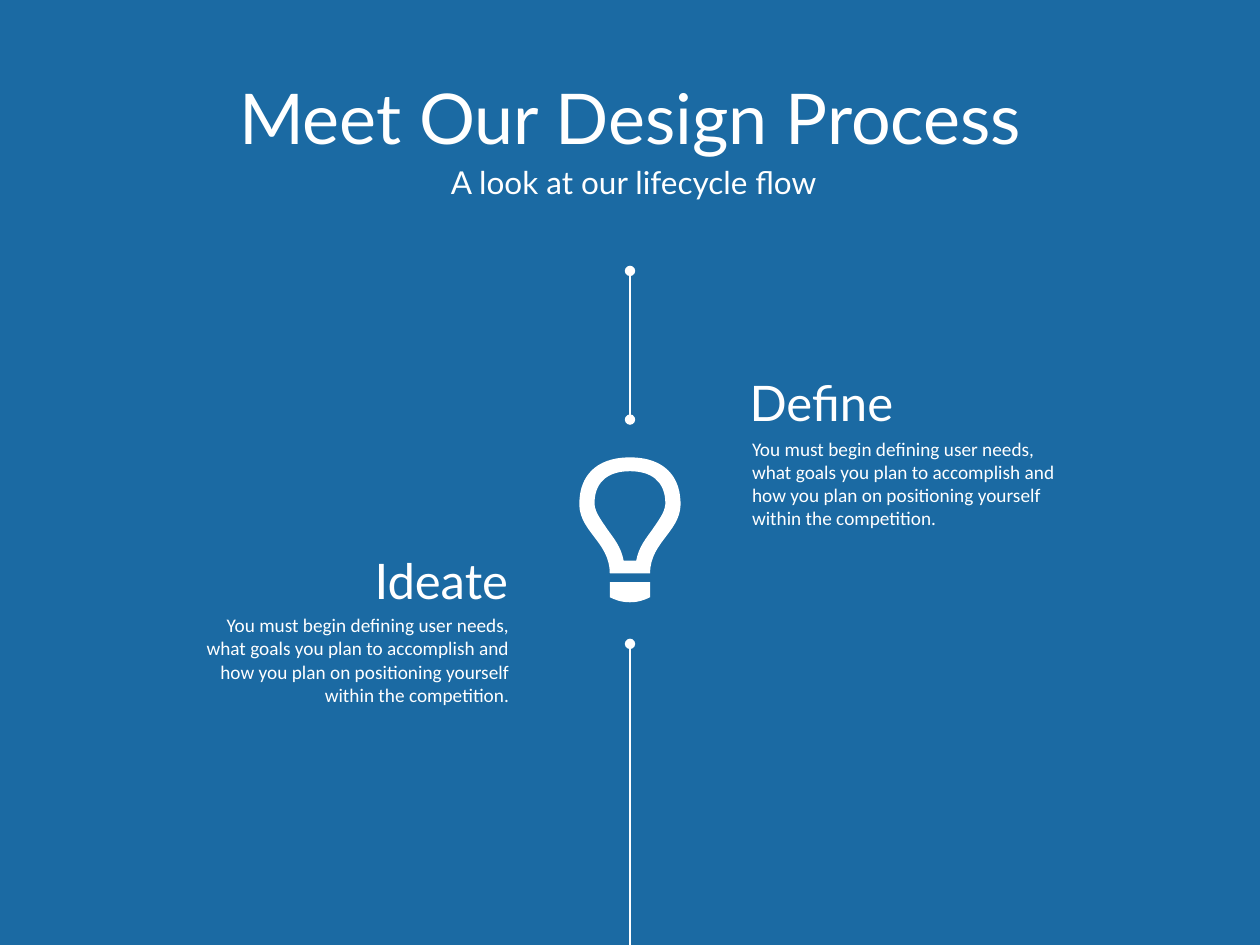
from dataclasses import dataclass

from lxml import etree
from pptx import Presentation
from pptx.dml.color import RGBColor
from pptx.enum import shapes, text
from pptx.oxml import ns
from pptx.util import Inches, Pt


@dataclass(frozen=True)
class Theme:
    background: RGBColor = RGBColor(0x1B, 0x6A, 0xA3)
    ink: RGBColor = RGBColor(0xFF, 0xFF, 0xFF)
    heading_font: str = "Lato"
    body_font: str = "Calibri"
    title: float = 40
    subtitle: float = 18
    heading: float = 28
    body: float = 11
    line: float = 0.75


LEFT, CENTER, RIGHT = (
    text.PP_ALIGN.LEFT, text.PP_ALIGN.CENTER, text.PP_ALIGN.RIGHT)
AXIS = 5
STEP_TEXT = ("You must begin defining user needs, what goals you plan to "
             "accomplish and how you plan on positioning yourself within "
             "the competition.")

# Right half of each bulb contour, from its lower or outer corner to the axis:
# segment kinds (L is a line, C a curve of three points), then the points
# as offset from the axis and y.
BULB = [
    ("LC", [(0.16, 4.62), (0.16, 4.74),
            (0.12, 4.76), (0.07, 4.78), (0, 4.78)]),
    ("CC", [(0.16, 4.55), (0.16, 4.29), (0.43, 4.21), (0.4, 3.96),
            (0.39, 3.8), (0.29, 3.63), (0, 3.63)]),
    ("CCC", [(0.05, 4.45), (0.07, 4.34), (0.13, 4.27), (0.18, 4.2),
             (0.24, 4.11), (0.29, 4.05), (0.28, 3.97),
             (0.27, 3.82), (0.17, 3.74), (0, 3.74)]),
]


class Slide:
    def __init__(self, deck, theme):
        self.theme = theme
        self.page = deck.slides.add_slide(deck.slide_layouts[6])
        fill = self.page.background.fill
        fill.solid()
        fill.fore_color.rgb = theme.background

    def text(self, words, left, top, width, height, size, align,
             font=None, anchor=text.MSO_ANCHOR.MIDDLE):
        box = self.page.shapes.add_textbox(
            Inches(left), Inches(top), Inches(width), Inches(height))
        frame = box.text_frame
        frame.word_wrap = True
        frame.vertical_anchor = anchor
        para = frame.paragraphs[0]
        para.text = words
        para.alignment = align
        para.font.name = font or self.theme.heading_font
        para.font.size = Pt(size)
        para.font.color.rgb = self.theme.ink

    def heading(self, words, left, top, align):
        self.text(words, left, top, 3.15, 0.64, self.theme.heading, align)

    def body(self, words, left, top, align):
        self.text(words, left, top, 2.68, 0.82, self.theme.body, align,
                  self.theme.body_font, text.MSO_ANCHOR.TOP)

    def timeline(self, top, bottom, *dotted_ends):
        """Draw a vertical line with dots at the named ends."""
        line = self.page.shapes.add_connector(
            shapes.MSO_CONNECTOR.STRAIGHT, Inches(AXIS), Inches(top),
            Inches(AXIS), Inches(bottom))
        line.line.color.rgb = self.theme.ink
        line.line.width = Pt(self.theme.line)
        outline = line.line._get_or_add_ln()
        for end in dotted_ends:
            etree.SubElement(outline, ns.qn(f"a:{end}"), type="oval")
        etree.SubElement(line._element.spPr, ns.qn("a:effectLst"))

    def symmetric(self, contours):
        """Mirror half contours about the axis and fill them as one shape."""
        builder = None
        kinds = ""
        for half_kinds, half in contours:
            mirrored = [(-x, y) for x, y in reversed(half[:-1])]
            first, *rest = [(Inches(AXIS + x), Inches(y))
                            for x, y in half + mirrored]
            if builder is None:
                builder = self.page.shapes.build_freeform(*first)
            else:
                builder.move_to(*first)
            builder.add_line_segments(rest, close=True)
            kinds += half_kinds + half_kinds[::-1]
        shape = builder.convert_to_shape()
        self.bend(shape, kinds)
        shape.shadow.inherit = False
        shape.fill.solid()
        shape.fill.fore_color.rgb = self.theme.ink
        shape.line.fill.background()

    @staticmethod
    def bend(shape, kinds):
        """Merge three straight segments into one curve for every C."""
        segments = iter(list(shape._element.iter(ns.qn("a:lnTo"))))
        for kind in kinds:
            segment = next(segments)
            if kind == "C":
                curve = etree.Element(ns.qn("a:cubicBezTo"))
                segment.addprevious(curve)
                for part in (segment, next(segments), next(segments)):
                    curve.append(part[0])
                    part.getparent().remove(part)


def main():
    deck = Presentation()
    deck.slide_width, deck.slide_height = Inches(10), Inches(7.5)
    theme = Theme()
    slide = Slide(deck, theme)
    slide.text("Meet Our Design Process", 0.5, 0.3, 9, 1.25,
               theme.title, CENTER)
    slide.text("A look at our lifecycle flow", 0.53, 1.18, 9, 0.53,
               theme.subtitle, CENTER)
    slide.body(STEP_TEXT, 5.87, 3.42, LEFT)
    slide.heading("Define", 5.85, 2.87, LEFT)
    slide.timeline(2.15, 3.33, "headEnd", "tailEnd")
    slide.timeline(5.11, 7.5, "headEnd")
    slide.symmetric(BULB)
    slide.body(STEP_TEXT, 1.46, 4.82, RIGHT)
    slide.heading("Ideate", 0.98, 4.28, RIGHT)
    deck.save("out.pptx")


if __name__ == "__main__":
    main()
